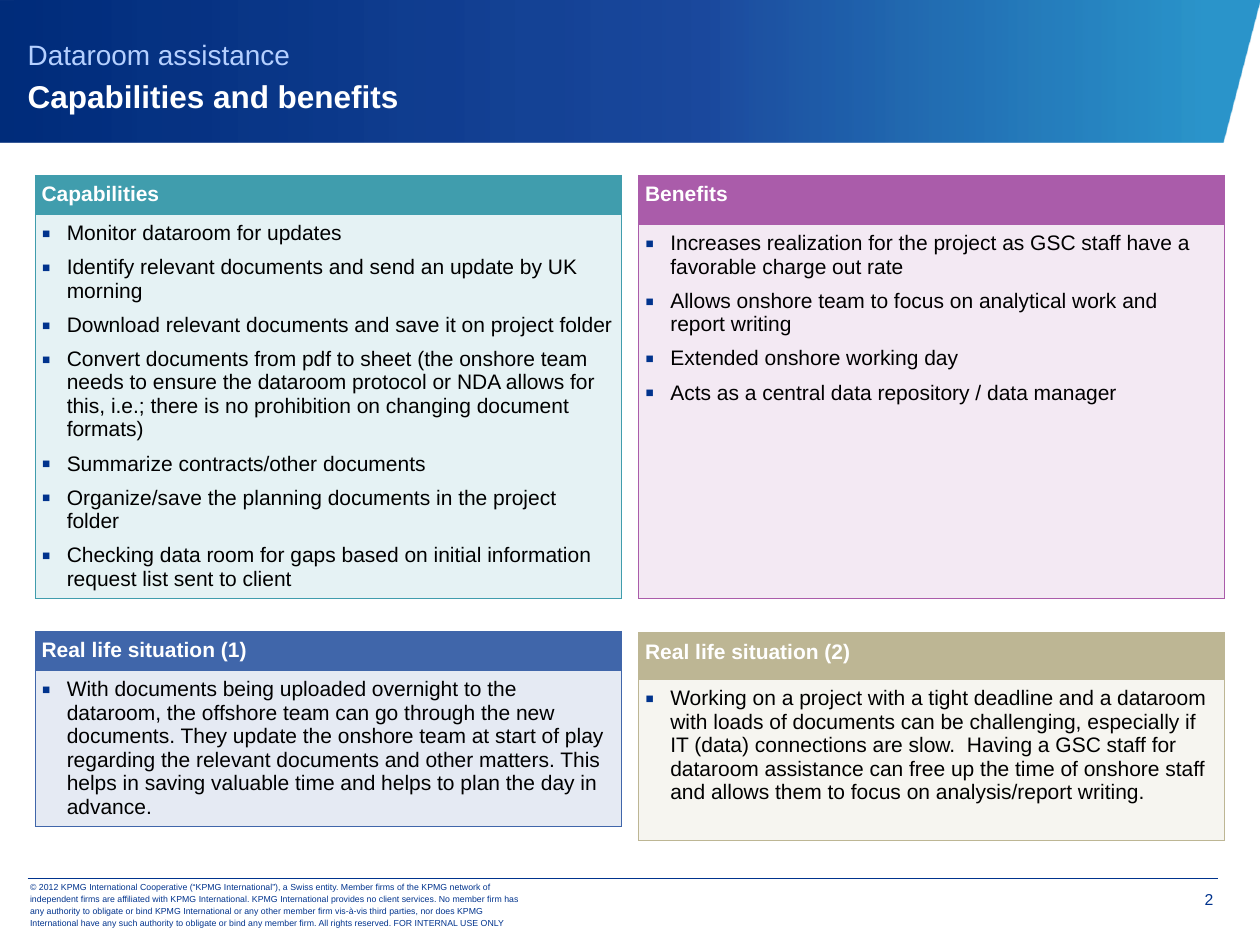
from pptx import Presentation
from pptx import oxml
from pptx import util as u
from pptx.dml.color import RGBColor
from pptx.enum import shapes, text

COLORS = {
    "navy": "00338D", "white": "FFFFFF", "black": "000000", "sky": "B5D0FF",
    "teal": "409DAD", "pale teal": "E5F2F4",
    "purple": "AA5CAA", "pale purple": "F3E9F3",
    "blue": "4066AA", "pale blue": "E5EAF3",
    "sand": "BDB694", "pale sand": "F6F5F0",
}
BANNER_STOPS = [(4, "0080C0", 83), (44, "003492", 89), (100, "002C7A", 100)]
NS = 'xmlns:a="http://schemas.openxmlformats.org/drawingml/2006/main"'

# Two-column grid, in inches
LEFT, COLUMN, GUTTER = 0.28, 4.65, 0.14

COPYRIGHT = (
    "© 2012 KPMG International Cooperative (“KPMG International”), a Swiss entity. "
    "Member firms of the KPMG network of independent firms are affiliated with KPMG "
    "International. KPMG International provides no client services. No member firm has "
    "any authority to obligate or bind KPMG International or any other member firm "
    "vis-à-vis third parties, nor does KPMG International have any such authority to "
    "obligate or bind any member firm. All rights reserved. FOR INTERNAL USE ONLY")

# column, top, header height, body height, colour, heading, bullets
PANELS = [
    (0, 1.39, 0.31, 3.05, "teal", "Capabilities", [
        "Monitor dataroom for updates",
        "Identify relevant documents and send an update by UK morning",
        "Download relevant documents and save it on project folder",
        "Convert documents from pdf to sheet (the onshore team needs to ensure the "
        "dataroom protocol or NDA allows for this, i.e.; there is no prohibition on "
        "changing document  formats)",
        "Summarize contracts/other documents",
        "Organize/save the planning documents in the project folder",
        "Checking data room for gaps based on initial information request list sent "
        "to client"]),
    (1, 1.39, 0.39, 2.97, "purple", "Benefits", [
        "Increases realization for the project as GSC staff have a favorable charge "
        "out rate",
        "Allows onshore team to focus on analytical work and report writing",
        "Extended onshore working day",
        "Acts as a central data repository / data manager"]),
    (0, 5.01, 0.31, 1.23, "blue", "Real life situation (1)", [
        "With documents being uploaded overnight to the dataroom, the offshore team can "
        "go through the new documents. They update the onshore team at start of play "
        "regarding the relevant documents and other matters. This helps in saving "
        "valuable time and helps to plan the day in advance."]),
    (1, 5.02, 0.37, 1.28, "sand", "Real life situation (2)", [
        "Working on a project with a tight deadline and a dataroom with loads of "
        "documents can be challenging, especially if IT (data) connections are slow.  "
        "Having a GSC staff for dataroom assistance can free up the time of onshore "
        "staff and allows them to focus on analysis/report writing."]),
]


def rgb(name):
    return RGBColor.from_string(COLORS[name])


def inches(*lengths):
    return [u.Inches(length) for length in lengths]


class Page:
    """Holds the style and the slide being built."""

    def __init__(self, deck, font="Arial"):
        self.slide = deck.slides.add_slide(deck.slide_layouts[5])
        self.shapes = self.slide.shapes
        self.font = font

    def style(self, item, size, color, bold=False):
        item.font.name, item.font.size = self.font, u.Pt(size)
        item.font.bold, item.font.color.rgb = bold, rgb(color)

    def frame(self, box, margins, anchor):
        frame = box.text_frame
        frame.word_wrap, frame.auto_size = True, text.MSO_AUTO_SIZE.NONE
        frame.vertical_anchor = anchor
        (frame.margin_left, frame.margin_top,
         frame.margin_right, frame.margin_bottom) = inches(*margins)
        return frame

    def banner(self, points, stops):
        builder = self.shapes.build_freeform(*inches(*points[0]), scale=1.0)
        builder.add_line_segments([inches(*point) for point in points[1:]], close=True)
        shape = builder.convert_to_shape()
        shape.shadow.inherit = False
        shape.line.fill.background()
        shape.fill.gradient()
        shape.fill.gradient_angle = 180
        stop_list = shape.fill.gradient_stops[0]._gs.getparent()
        for old in list(stop_list):
            stop_list.remove(old)
        for position, color, alpha in stops:
            stop_list.append(oxml.parse_xml(
                f'<a:gs {NS} pos="{position * 1000}"><a:srgbClr val="{color}">'
                f'<a:alpha val="{alpha * 1000}"/></a:srgbClr></a:gs>'))

    def title(self, area, first, second):
        box = self.shapes.title
        box.left, box.top, box.width, box.height = inches(*area)
        para = self.frame(box, (0, 0, 0, 0), text.MSO_ANCHOR.MIDDLE).paragraphs[0]
        para.alignment, para.line_spacing = text.PP_ALIGN.LEFT, u.Pt(25)
        span = para.add_run()
        span.text = first
        self.style(span, 16, "sky")
        para.add_line_break()
        span = para.add_run()
        span.text = second
        self.style(span, 18, "white", True)

    def label(self, area, words, size, margins, anchor, align, spacing=None):
        box = self.shapes.add_textbox(*inches(*area))
        para = self.frame(box, margins, anchor).paragraphs[0]
        para.text, para.alignment, para.line_spacing = words, align, spacing
        self.style(para, size, "navy")

    def rule(self, left, right, top):
        line = self.shapes.add_connector(
            shapes.MSO_CONNECTOR.STRAIGHT, *inches(left, top, right, top))
        line.line.color.rgb, line.line.width = rgb("navy"), u.Pt(0.25)
        line._element.spPr.append(oxml.parse_xml(f"<a:effectLst {NS}/>"))

    def bullet(self, para):
        props = para._p.get_or_add_pPr()
        props.set("marL", str(u.Inches(0.2)))
        props.set("indent", str(u.Inches(-0.2)))
        for xml in (f'<a:buClr {NS}><a:srgbClr val="{COLORS["navy"]}"/></a:buClr>',
                    f'<a:buSzPct {NS} val="125000"/>',
                    f'<a:buFont {NS} typeface="{self.font}"/>',
                    f'<a:buChar {NS} char="▪"/>'):
            props.append(oxml.parse_xml(xml))

    def cell(self, cell, lines, fill, border, color, heading):
        cell.margin_left = cell.margin_right = u.Inches(0.05)
        cell.margin_top = cell.margin_bottom = u.Inches(0.06)
        props = cell._tc.get_or_add_tcPr()
        for side in "LRTB":
            props.append(oxml.parse_xml(
                f'<a:ln{side} {NS} w="{u.Pt(0.5)}"><a:solidFill>'
                f'<a:srgbClr val="{COLORS[border]}"/></a:solidFill></a:ln{side}>'))
        cell.fill.solid()
        cell.fill.fore_color.rgb = rgb(fill)
        frame = cell.text_frame
        for index, words in enumerate(lines):
            para = frame.add_paragraph() if index else frame.paragraphs[0]
            para.text = words
            para.space_before = u.Pt(6 if index else 0)
            if not heading:
                self.bullet(para)
            self.style(para, 12, color, heading)

    def panel(self, column, top, header, body, color, heading, bullets):
        left = LEFT + column * (COLUMN + GUTTER)
        table = self.shapes.add_table(
            2, 1, *inches(left, top, COLUMN, header + body)).table
        table.first_row = table.horz_banding = False
        table.rows[0].height, table.rows[1].height = inches(header, body)
        self.cell(table.cell(0, 0), [heading], color, color, "white", True)
        self.cell(table.cell(1, 0), bullets, f"pale {color}", color, "black", False)


def main():
    deck = Presentation()
    deck.slide_width, deck.slide_height = inches(10, 7.5)
    page = Page(deck)

    # Banner, moved behind the title
    page.banner([(-0.01, 1.13), (9.7, 1.13), (10, -0.01), (-0.01, 0)], BANNER_STOPS)
    tree = page.shapes.title._element.getparent()
    tree.append(page.shapes.title._element)
    page.title((0.22, 0.13, 9.35, 0.87),
               "Dataroom assistance ", "Capabilities and benefits")

    # Footer
    page.rule(0.22, 9.67, 6.97)
    page.label((9.08, 6.98, 0.55, 0.31), "2", 9, (0.08, 0.08, 0, 0),
               text.MSO_ANCHOR.TOP, text.PP_ALIGN.RIGHT)
    page.label((0.14, 7, 4.15, 0.35), COPYRIGHT, 5, (0.1, 0.05, 0.1, 0.05),
               text.MSO_ANCHOR.MIDDLE, text.PP_ALIGN.LEFT, u.Pt(7))

    # Panels
    for panel in PANELS:
        page.panel(*panel)

    deck.save("out.pptx")


if __name__ == "__main__":
    main()
